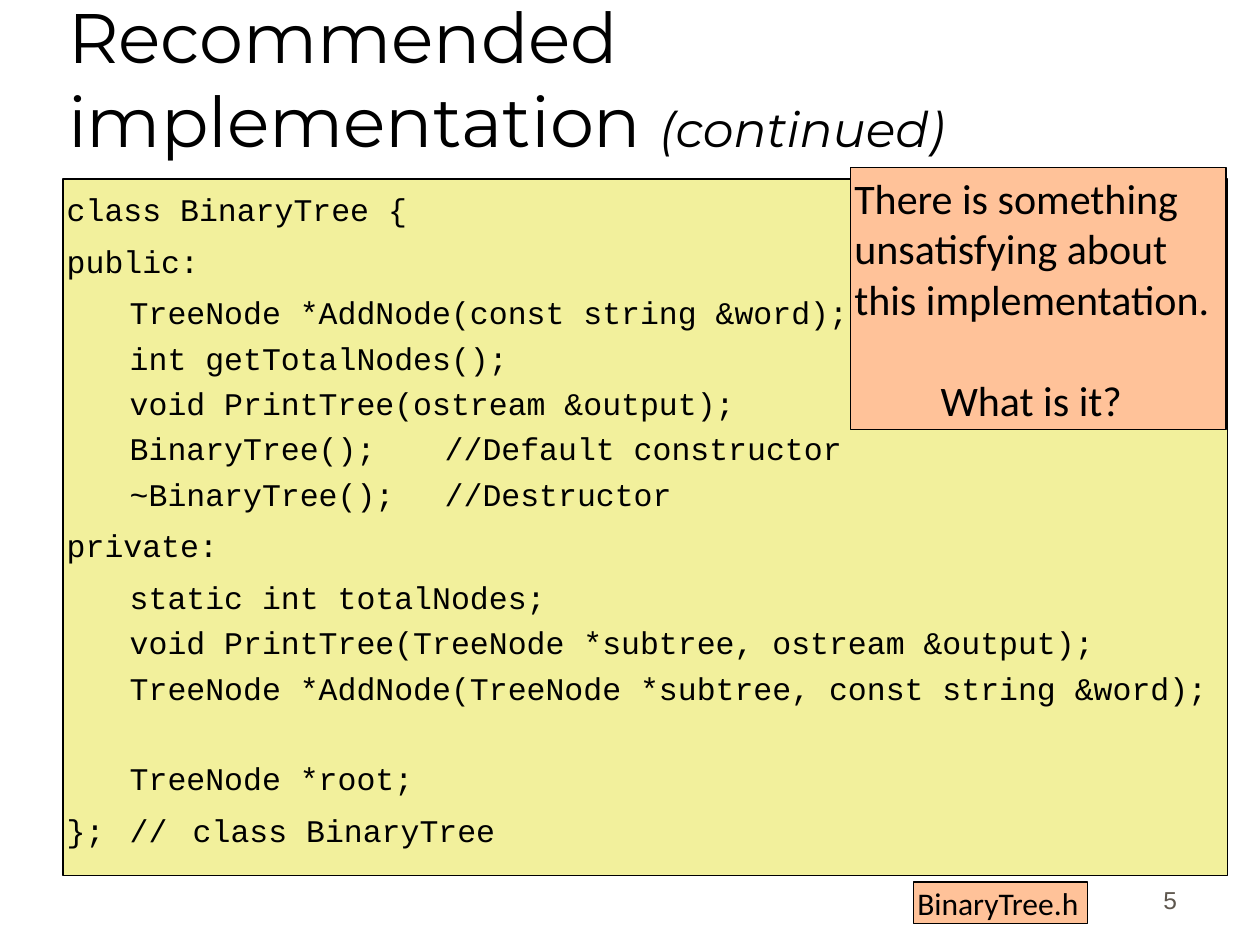
from pptx import Presentation
from pptx.dml.color import RGBColor
from pptx.enum.shapes import MSO_SHAPE as Shape
from pptx.enum.text import MSO_ANCHOR as Anchor, MSO_AUTO_SIZE as AutoSize, PP_ALIGN as Align
from pptx.util import Inches, Pt

THEME = {
    "ink": RGBColor.from_string("000000"),
    "muted": RGBColor.from_string("5E574E"),
    "code_fill": RGBColor.from_string("F2F09C"),
    "note_fill": RGBColor.from_string("FFC299"),
    "title": ("Montserrat", 40),
    "aside": ("Montserrat", 28),
    "code": ("Courier New", 18),
    "question": ("Calibri", 24),
    "file": ("Calibri", 18),
    "number": ("Arial", 14),
}

deck = Presentation()
deck.slide_width, deck.slide_height = Inches(10), Inches(7.5)
COL, ROW = deck.slide_width / 100, deck.slide_height / 75
slide = deck.slides.add_slide(deck.slide_layouts[5])


def style(paragraph, role, color="ink"):
    for run in paragraph.runs:
        run.font.name, size = THEME[role]
        run.font.size = Pt(size)
        run.font.color.rgb = THEME[color]


def panel(left, top, width, height, fill, role, texts, anchor, inset):
    box = slide.shapes.add_shape(
        Shape.RECTANGLE, *(int(v) for v in (left * COL, top * ROW, width * COL, height * ROW)))
    box.shadow.inherit = False
    box.fill.solid()
    box.fill.fore_color.rgb = THEME[fill]
    box.line.color.rgb = THEME["ink"]
    box.line.width = Pt(0.75)
    frame = box.text_frame
    frame.word_wrap = True
    frame.vertical_anchor = anchor
    frame.margin_left = frame.margin_right = Inches(0.03)
    frame.margin_top = frame.margin_bottom = Inches(inset)
    frame.text = "\n".join(texts)
    for paragraph in frame.paragraphs:
        paragraph.alignment = Align.LEFT
        style(paragraph, role)
    return frame.paragraphs


title = slide.shapes.title
title.left, title.top = int(4.4 * COL), int(5 * ROW)
title.width, title.height = int(91.7 * COL), int(8.3 * ROW)
title.text_frame.auto_size = AutoSize.NONE
title.text_frame.word_wrap = True
title.text_frame.vertical_anchor = Anchor.BOTTOM
heading = title.text_frame.paragraphs[0]
heading.text = "Recommended implementation "
heading.alignment = Align.LEFT
style(heading, "title")
aside = heading.add_run()
aside.text = "(continued)"
aside.font.name, aside_size = THEME["aside"]
aside.font.size = Pt(aside_size)
aside.font.italic = True
aside.font.color.rgb = THEME["ink"]

page = slide.shapes.add_textbox(
    int(73.6 * COL), int(68.1 * ROW), int(20.8 * COL), int(5 * ROW)).text_frame
page.word_wrap = True
page.vertical_anchor = Anchor.BOTTOM
page.text = "5"
page.paragraphs[0].alignment = Align.RIGHT
style(page.paragraphs[0], "number", "muted")

public_members = [
    "\tTreeNode *AddNode(const string &word);",
    "\tint getTotalNodes();",
    "\tvoid PrintTree(ostream &output);",
    "\tBinaryTree();\t\t//Default constructor",
    "\t~BinaryTree();\t//Destructor",
]
private_members = [
    "\tstatic int totalNodes;",
    "\tvoid PrintTree(TreeNode *subtree, ostream &output);",
    "\tTreeNode *AddNode(TreeNode *subtree, const string &word);",
]
root_member = "\tTreeNode *root;"
listing = [
    "class BinaryTree {", "public:", "\v".join(public_members),
    "private:", "\v".join(private_members), root_member, "};\t//\tclass BinaryTree",
]
code = panel(5, 14.2, 92.4, 55.3, "code_fill", "code", listing, Anchor.TOP, 0.03)
for statement in code:
    statement.line_spacing = 1.2
    statement.space_before = Pt(25.7 if statement.text == root_member else 3.6)
    statement._p.get_or_add_pPr().set("defTabSz", str(Inches(0.5)))

panel(72.5, 70, 13.8, 3.3, "note_fill", "file", ["BinaryTree.h"], Anchor.MIDDLE, 0.01)

remark = "\v".join(["There is something", "unsatisfying about", "this implementation."])
question = panel(67.5, 13.3, 29.8, 20.8, "note_fill", "question",
                 [remark, "What is it?"], Anchor.MIDDLE, 0.03)[1]
question.alignment = Align.CENTER
question.space_before = Pt(29)
question._p.get_or_add_pPr().set("marR", str(Inches(0.11)))

deck.save("out.pptx")
